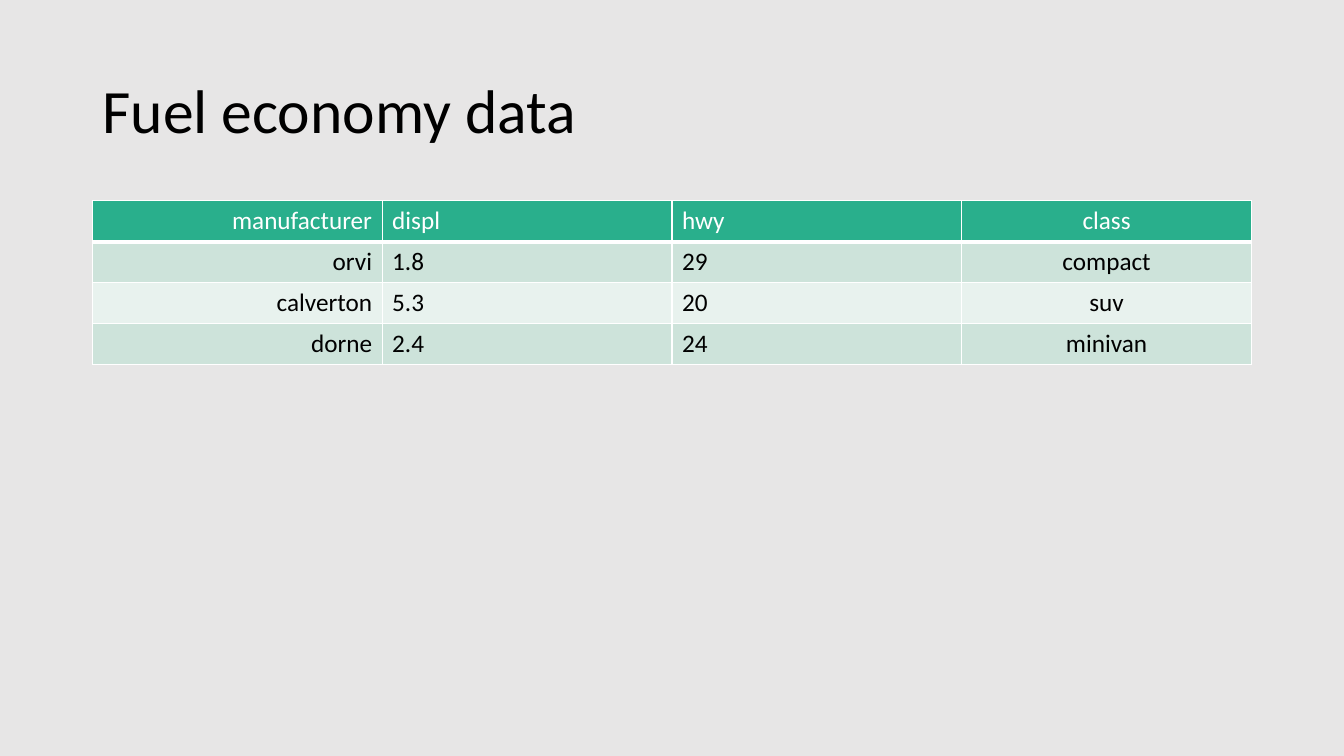
"""Build the fuel economy slide with its title and data table."""
from dataclasses import dataclass

from lxml import etree
from pptx import Presentation
from pptx.dml.color import RGBColor
from pptx.enum import text as t
from pptx.oxml import ns
from pptx.table import _Cell
from pptx.text.text import _Paragraph
from pptx.util import Length, Pt

FONT = "Calibri"
BACKGROUND = RGBColor(0xE7, 0xE6, 0xE6)
BLACK = RGBColor(0x00, 0x00, 0x00)
WHITE = RGBColor(0xFF, 0xFF, 0xFF)
GREEN = RGBColor(0x29, 0xAF, 0x8C)
BAND_DARK = RGBColor(0xCD, 0xE3, 0xDA)
BAND_LIGHT = RGBColor(0xE8, 0xF2, 0xEE)

LEFT, WIDTH = Pt(66), Pt(828)
TABLE_TOP, ROW_HEIGHT = Pt(143.5), Pt(29.2)


@dataclass(frozen=True)
class Column:
    heading: str
    align: t.PP_ALIGN
    values: tuple[str, ...]


@dataclass(frozen=True)
class RowStyle:
    fill: RGBColor
    ink: RGBColor
    bottom: Length


COLUMNS = (
    Column("manufacturer", t.PP_ALIGN.RIGHT, ("orvi", "calverton", "dorne")),
    Column("displ", t.PP_ALIGN.LEFT, ("1.8", "5.3", "2.4")),
    Column("hwy", t.PP_ALIGN.LEFT, ("29", "20", "24")),
    Column("class", t.PP_ALIGN.CENTER, ("compact", "suv", "minivan")),
)
HEADER = RowStyle(GREEN, WHITE, Pt(3))
BANDS = (RowStyle(BAND_DARK, BLACK, Pt(1)), RowStyle(BAND_LIGHT, BLACK, Pt(1)))


def add_run(paragraph: _Paragraph, words: str, size: Length, ink: RGBColor) -> None:
    run = paragraph.add_run()
    run.text = words
    run.font.name = FONT
    run.font.size = size
    run.font.bold = False
    run.font.color.rgb = ink


def add_border(cell: _Cell, side: str, width: Length) -> None:
    properties = cell._tc.get_or_add_tcPr()
    line = etree.SubElement(properties, ns.qn(f"a:ln{side}"), w=str(width))
    fill = etree.SubElement(line, ns.qn("a:solidFill"))
    etree.SubElement(fill, ns.qn("a:srgbClr"), val=str(WHITE))


def draw_cell(cell: _Cell, words: str, align: t.PP_ALIGN, style: RowStyle) -> None:
    for side in "LRT":
        add_border(cell, side, Pt(1))
    add_border(cell, "B", style.bottom)
    cell.fill.solid()
    cell.fill.fore_color.rgb = style.fill
    paragraph = cell.text_frame.paragraphs[0]
    paragraph.alignment = align
    add_run(paragraph, words, Pt(18), style.ink)


deck = Presentation()
deck.slide_width, deck.slide_height = Pt(960), Pt(540)
slide = deck.slides.add_slide(deck.slide_layouts[5])
slide.background.fill.solid()
slide.background.fill.fore_color.rgb = BACKGROUND

title = slide.shapes.title
title.left, title.top, title.width, title.height = LEFT, Pt(28.75), WIDTH, Pt(104.4)
title.text_frame.vertical_anchor = t.MSO_ANCHOR.MIDDLE
title.text_frame.auto_size = t.MSO_AUTO_SIZE.NONE
heading = title.text_frame.paragraphs[0]
heading.alignment = t.PP_ALIGN.LEFT
heading.line_spacing = 0.9
add_run(heading, "Fuel economy data", Pt(44), BLACK)

row_count = 1 + len(COLUMNS[0].values)
economy = slide.shapes.add_table(
    row_count, len(COLUMNS), LEFT, TABLE_TOP, WIDTH, ROW_HEIGHT * row_count
).table
for column_index, column in enumerate(COLUMNS):
    for row_index, words in enumerate((column.heading, *column.values)):
        style = BANDS[(row_index - 1) % len(BANDS)] if row_index else HEADER
        draw_cell(economy.cell(row_index, column_index), words, column.align, style)

deck.save("out.pptx")
